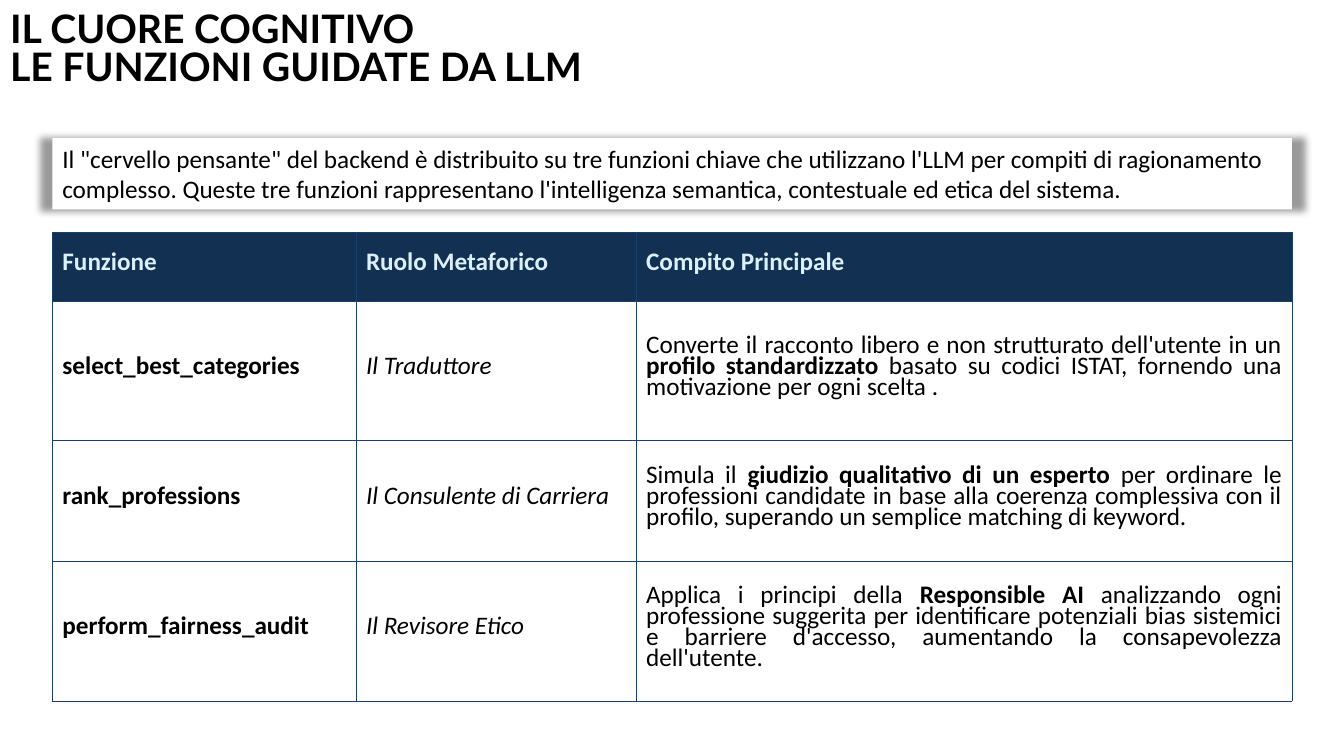
from lxml.etree import SubElement
from pptx import Presentation
from pptx.dml.color import RGBColor
from pptx.enum.shapes import MSO_SHAPE
from pptx.enum.text import MSO_ANCHOR, MSO_AUTO_SIZE, PP_ALIGN
from pptx.oxml import parse_xml
from pptx.oxml.ns import nsdecls, qn
from pptx.util import Cm, Pt

WHITE = RGBColor(0xFF, 0xFF, 0xFF)
BLACK = RGBColor(0, 0, 0)
NAVY = RGBColor(0x11, 0x30, 0x52)
BLUE = RGBColor(0x17, 0x40, 0x6D)
PALE = RGBColor(0xDB, 0xEF, 0xF9)

WIDE, HIGH = Cm(33.87), Cm(19.05)
LEFT, SPAN = Cm(1.32), Cm(31.24)
COLS = [Cm(7.65), Cm(7.06), Cm(16.53)]
ROWS = [Cm(1.75), Cm(3.51), Cm(3.05), Cm(3.51)]

TITLE = ["IL CUORE COGNITIVO", "LE FUNZIONI GUIDATE DA LLM"]
INTRO = (
    "Il \"cervello pensante\" del backend è distribuito su tre funzioni chiave "
    "che utilizzano l'LLM per compiti di ragionamento complesso. Queste tre "
    "funzioni rappresentano l'intelligenza semantica, contestuale ed etica del sistema."
)
# Asterisks enclose the bold part of a task
TABLE = [
    ["Funzione", "Ruolo Metaforico", "Compito Principale"],
    ["select_best_categories", "Il Traduttore",
     "Converte il racconto libero e non strutturato dell'utente in "
     "un *profilo standardizzato* basato su codici ISTAT, fornendo una "
     "motivazione per ogni scelta ."],
    ["rank_professions", "Il Consulente di Carriera",
     "Simula il *giudizio qualitativo di un esperto* per ordinare le "
     "professioni candidate in base alla coerenza complessiva con il "
     "profilo, superando un semplice matching di keyword."],
    ["perform_fairness_audit", "Il Revisore Etico",
     "Applica i principi della *Responsible AI* analizzando ogni "
     "professione suggerita per identificare potenziali bias sistemici "
     "e barriere d'accesso, aumentando la consapevolezza dell'utente."],
]


def set_font(para, name, size, color):
    para.font.name = name
    para.font.size = Pt(size)
    para.font.color.rgb = color


def add_box(slide, box):
    """Add a plain white rectangle without a line or shadow."""
    shape = slide.shapes.add_shape(MSO_SHAPE.RECTANGLE, *box)
    shape.shadow.inherit = False
    shape.fill.solid()
    shape.fill.fore_color.rgb = WHITE
    shape.line.fill.background()
    return shape


def add_veil(slide, box):
    """Lay a translucent white sheet behind everything else."""
    veil = add_box(slide, box)
    color = veil.fill._xPr.find(".//" + qn("a:srgbClr"))
    SubElement(color, qn("a:alpha"), val="73000")
    slide.shapes._spTree.insert(2, veil._element)


def add_title(slide, box):
    title = slide.shapes.title
    title.left, title.top, title.width, title.height = box
    frame = title.text_frame
    frame.word_wrap = True
    frame.auto_size = MSO_AUTO_SIZE.NONE
    frame.vertical_anchor = MSO_ANCHOR.BOTTOM
    frame.text = "\n".join(TITLE)
    for para in frame.paragraphs:
        para.alignment = PP_ALIGN.LEFT
        para.line_spacing = 0.8
        para.space_before = Pt(0)
        para.font.bold = True
        set_font(para, "Lato", 28, BLACK)


def add_intro(slide, box):
    intro = add_box(slide, box)
    glow = intro._element.spPr.find(qn("a:effectLst"))
    glow.append(parse_xml(
        f'<a:outerShdw {nsdecls("a")} blurRad="{Pt(5)}" sx="102000" sy="102000" '
        'algn="ctr" rotWithShape="0"><a:srgbClr val="000000">'
        '<a:alpha val="40000"/></a:srgbClr></a:outerShdw>'))
    frame = intro.text_frame
    frame.word_wrap = True
    frame.auto_size = MSO_AUTO_SIZE.SHAPE_TO_FIT_TEXT
    frame.vertical_anchor = MSO_ANCHOR.TOP
    frame.text = INTRO
    para = frame.paragraphs[0]
    para.alignment = PP_ALIGN.LEFT
    set_font(para, "Calibri", 18, BLACK)


def add_edges(cell):
    props = cell._tc.get_or_add_tcPr()
    for side in ("lnL", "lnR", "lnT", "lnB"):
        props.append(parse_xml(
            f'<a:{side} {nsdecls("a")} w="{Pt(0.25)}"><a:solidFill>'
            f'<a:srgbClr val="{BLUE}"/></a:solidFill></a:{side}>'))


def fill_cell(cell, text, row, col):
    add_edges(cell)
    cell.vertical_anchor = MSO_ANCHOR.MIDDLE
    head = row == 0
    if head:
        cell.fill.solid()
        cell.fill.fore_color.rgb = NAVY
    else:
        cell.fill.background()
    para = cell.text_frame.paragraphs[0]
    para.line_spacing = Pt(15)
    task = col == 2 and not head
    para.alignment = PP_ALIGN.JUSTIFY if task else PP_ALIGN.LEFT
    set_font(para, "Calibri", 18, PALE if head else BLACK)
    para.font.bold = head or col == 0
    para.font.italic = col == 1 and not head
    for i, part in enumerate(text.split("*")):
        run = para.add_run()
        run.text = part
        if i % 2:
            run.font.bold = True


def add_grid(slide, box):
    table = slide.shapes.add_table(len(ROWS), len(COLS), *box).table
    table.horz_banding = False
    for column, width in zip(table.columns, COLS):
        column.width = width
    for row, height in zip(table.rows, ROWS):
        row.height = height
    for r, texts in enumerate(TABLE):
        for c, text in enumerate(texts):
            fill_cell(table.cell(r, c), text, r, c)


def main():
    deck = Presentation()
    deck.slide_width, deck.slide_height = WIDE, HIGH
    slide = deck.slides.add_slide(deck.slide_layouts[5])
    add_veil(slide, (0, 0, WIDE, HIGH))
    add_title(slide, (0, Cm(0.05), Cm(25.15), Cm(2.31)))
    add_intro(slide, (LEFT, Cm(3.48), SPAN, Cm(1.8)))
    add_grid(slide, (LEFT, Cm(5.84), SPAN, sum(ROWS)))
    deck.save("out.pptx")


if __name__ == "__main__":
    main()
